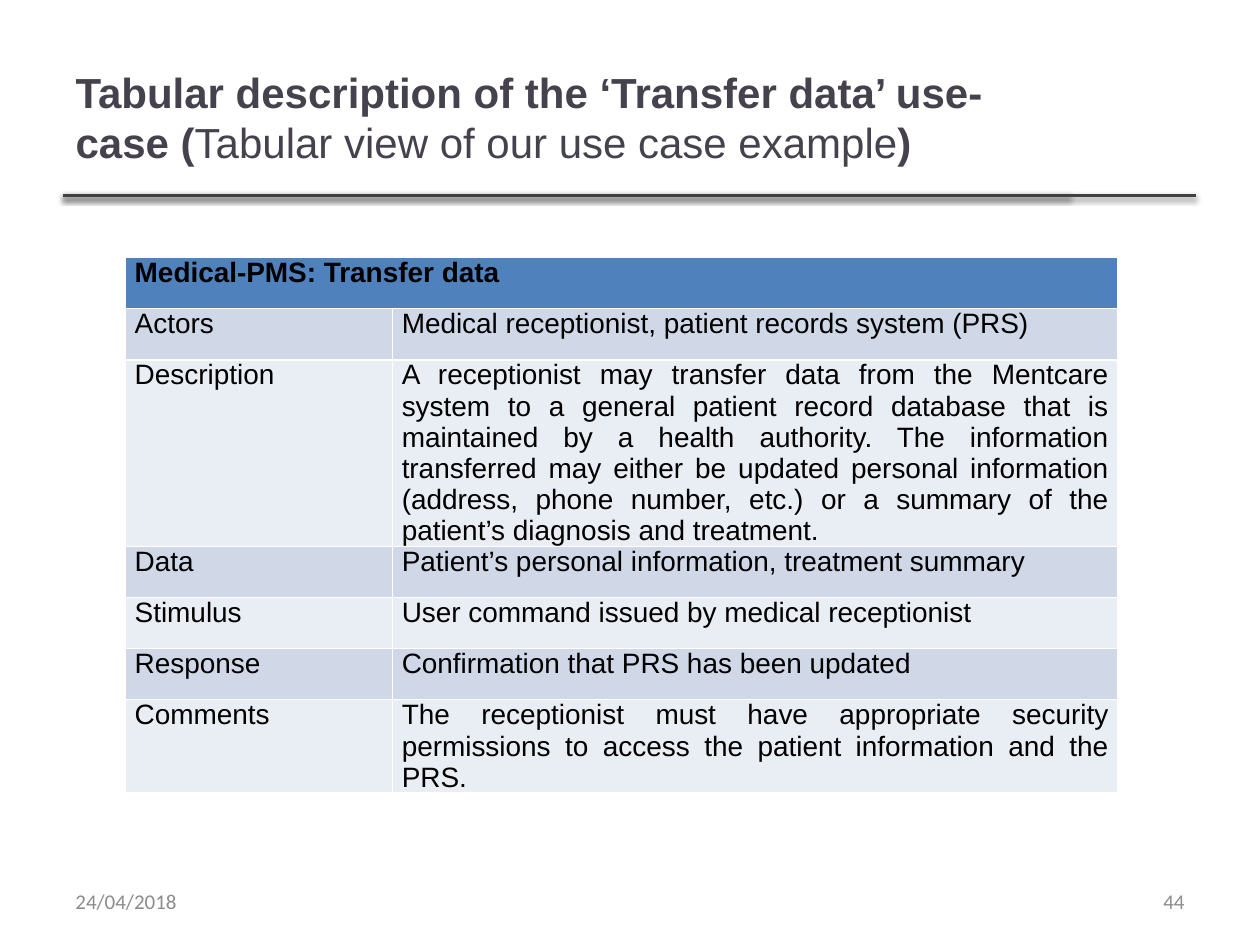
from lxml.etree import SubElement
from pptx import Presentation
from pptx.dml.color import RGBColor
from pptx.enum.shapes import MSO_CONNECTOR
from pptx.enum.text import MSO_ANCHOR, PP_ALIGN
from pptx.oxml import parse_xml
from pptx.oxml.ns import nsdecls
from pptx.util import Pt

TITLE_COLOR = RGBColor(0x46, 0x42, 0x4D)
RULE_COLOR = RGBColor(0x40, 0x40, 0x40)
FOOTER_COLOR = RGBColor(0x8C, 0x8C, 0x8C)
BLACK = RGBColor(0, 0, 0)
HEADER_FILL = RGBColor(0x4F, 0x81, 0xBD)
BAND_FILLS = [RGBColor(0xE9, 0xED, 0xF4), RGBColor(0xD0, 0xD8, 0xE8)]

ROWS = [
    ("Medical-PMS: Transfer data", ""),
    ("Actors", "Medical receptionist, patient records system (PRS)"),
    ("Description", "A receptionist may transfer data from the Mentcare system to a general "
     "patient record database that is maintained by a health authority. The information "
     "transferred may either be updated personal information (address, phone number, etc.) "
     "or a summary of the patient’s diagnosis and treatment."),
    ("Data", "Patient’s personal information, treatment summary"),
    ("Stimulus", "User command issued by medical receptionist"),
    ("Response", "Confirmation that PRS has been updated"),
    ("Comments", "The receptionist must have appropriate security permissions to access "
     "the patient information and the PRS."),
]


def add_span(para, text, font, size, color, bold=False):
    span = para.add_run()
    span.text = text
    span.font.name = font
    span.font.size = Pt(size)
    span.font.bold = bold
    span.font.color.rgb = color


deck = Presentation()
deck.slide_width = Pt(720)
deck.slide_height = Pt(540)
page = deck.slides.add_slide(deck.slide_layouts[5])

for rule_end in (611.3, 683.3):
    rule = page.shapes.add_connector(
        MSO_CONNECTOR.STRAIGHT, Pt(36), Pt(111.6), Pt(rule_end), Pt(111.6))
    rule.line.color.rgb = RULE_COLOR
    rule.line.width = Pt(2)
    effects = parse_xml(f"<a:effectLst {nsdecls('a')}/>")
    tag = "{" + effects.nsmap["a"] + "}"
    shadow = SubElement(effects, tag + "outerShdw", blurRad=str(Pt(3.1)), dist=str(Pt(1.6)),
                        dir="5400000", rotWithShape="0")
    shade = SubElement(shadow, tag + "srgbClr", val="000000")
    SubElement(shade, tag + "alpha", val="38000")
    rule._element.spPr.append(effects)

title = page.shapes.title
title.left, title.top, title.width, title.height = Pt(36), Pt(21.6), Pt(574.6), Pt(90)
title.text_frame.word_wrap = True
title.text_frame.vertical_anchor = MSO_ANCHOR.MIDDLE
para = title.text_frame.paragraphs[0]
para.alignment = PP_ALIGN.LEFT
for text, bold in [
    ("Tabular description of the ‘Transfer data’ use-case (", True),
    ("Tabular view of our use case example", False),
    (")", True),
]:
    add_span(para, text, "Arial", 24, TITLE_COLOR, bold)

table = page.shapes.add_table(
    len(ROWS), 2, Pt(71.6), Pt(147.2), Pt(567.4), Pt(29.2 * len(ROWS))).table
table.columns[0].width = Pt(152.6)
table.columns[1].width = Pt(414.8)
table.cell(0, 0).merge(table.cell(0, 1))
for row, texts in enumerate(ROWS):
    table.rows[row].height = Pt(29.2)
    for column, text in enumerate(texts):
        cell = table.cell(row, column)
        cell.fill.solid()
        cell.fill.fore_color.rgb = BAND_FILLS[row % 2] if row else HEADER_FILL
        cell.margin_left = cell.margin_right = Pt(5.4)
        cell.margin_top = cell.margin_bottom = Pt(0)
        if text:
            para = cell.text_frame.paragraphs[0]
            para.alignment = PP_ALIGN.JUSTIFY
            add_span(para, text, "Arial", 16, BLACK, row == 0)

for text, left, alignment in [
    ("24/04/2018", 36, PP_ALIGN.LEFT),
    ("44", 516, PP_ALIGN.RIGHT),
]:
    box = page.shapes.add_textbox(Pt(left), Pt(500.5), Pt(168), Pt(28.75))
    box.text_frame.word_wrap = True
    box.text_frame.vertical_anchor = MSO_ANCHOR.MIDDLE
    para = box.text_frame.paragraphs[0]
    para.alignment = alignment
    add_span(para, text, "Calibri", 12, FOOTER_COLOR)

deck.save("out.pptx")
